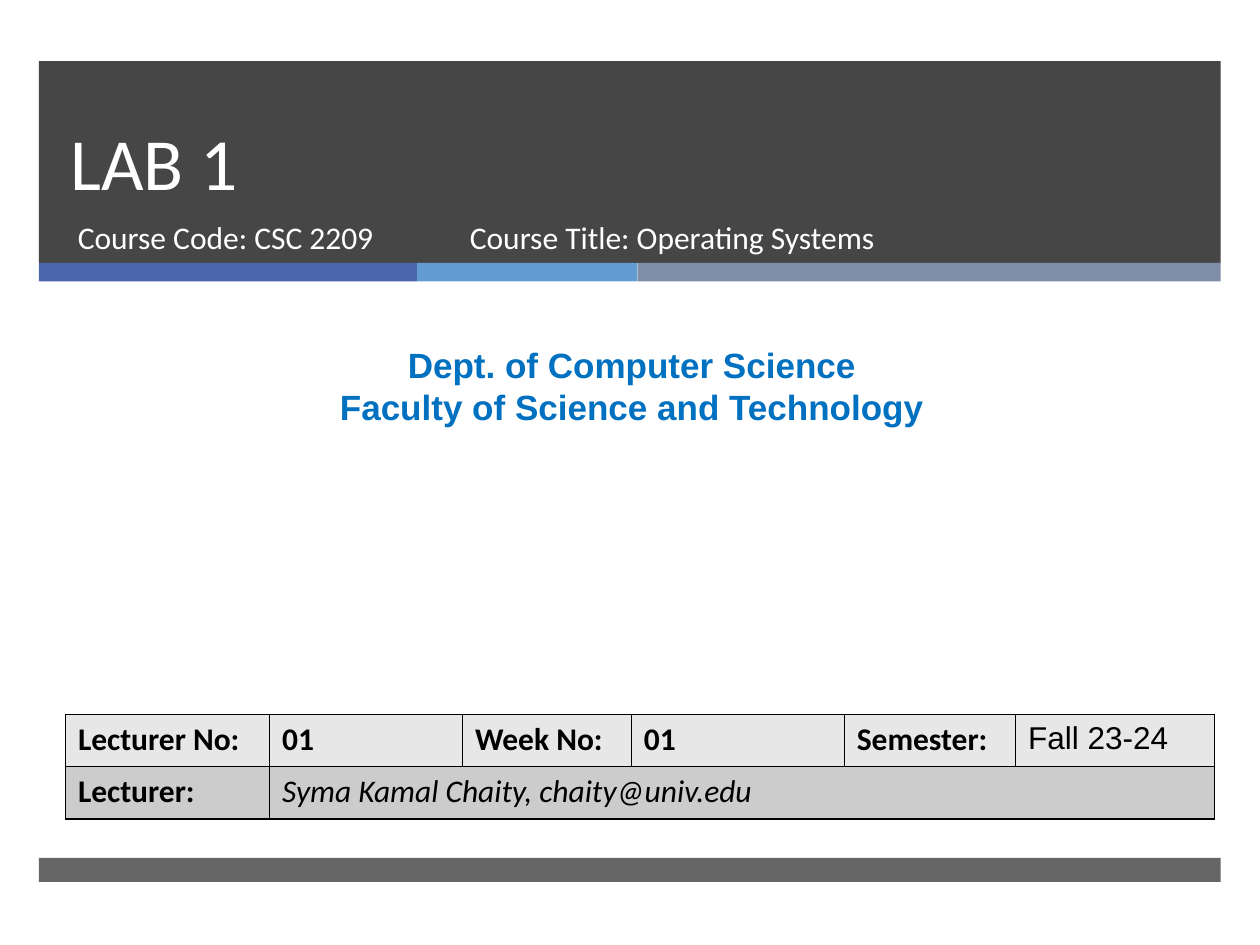
from lxml.etree import SubElement
from pptx import Presentation
from pptx.dml.color import RGBColor
from pptx.enum.shapes import MSO_SHAPE
from pptx.enum.text import MSO_ANCHOR, PP_ALIGN
from pptx.oxml.ns import qn
from pptx.util import Pt

DARK = RGBColor(0x26, 0x26, 0x26)
NAVY = RGBColor(0x4A, 0x66, 0xAC)
SKY = RGBColor(0x62, 0x9D, 0xD1)
SLATE = RGBColor(0x7F, 0x8F, 0xA9)
BLUE = RGBColor(0x00, 0x70, 0xC0)
WHITE = RGBColor(0xFF, 0xFF, 0xFF)
BLACK = RGBColor(0x00, 0x00, 0x00)
PALE = RGBColor(0xE7, 0xE7, 0xE7)
GREY = RGBColor(0xCC, 0xCC, 0xCC)


def write(frame, lines, form, align=PP_ALIGN.LEFT, space=None):
    frame.word_wrap = True
    for i, line in enumerate(lines):
        para = frame.add_paragraph() if i else frame.paragraphs[0]
        para.alignment = align
        para.line_spacing = space
        run = para.add_run()
        run.text = line
        color = form["color"]
        run.font.color.rgb = color
        for key, value in form.items():
            if key != "color":
                setattr(run.font, key, value)


deck = Presentation()
deck.slide_width, deck.slide_height = Pt(720), Pt(540)
slide = deck.slides.add_slide(deck.slide_layouts[6])
shapes = slide.shapes

left, right = 22.3, 697.5
bars = [
    (left, 35, right, 115.2, DARK, 85),
    (left, 150.2, 238.3, 10.6, NAVY, 100),
    (238.3, 150.2, 364.3, 10.6, SKY, 100),
    (364.3, 150.2, right, 10.6, SLATE, 100),
    (left, 490.2, right, 13.8, DARK, 70),
]
for start, top, end, high, color, alpha in bars:
    bar = shapes.add_shape(MSO_SHAPE.RECTANGLE, Pt(start), Pt(top), Pt(end - start), Pt(high))
    bar.shadow.inherit = False
    bar.line.fill.background()
    bar.fill.solid()
    bar.fill.fore_color.rgb = color
    if alpha < 100:
        tint = bar.fill._xPr.find(qn("a:solidFill"))[0]
        SubElement(tint, qn("a:alpha"), val=str(alpha * 1000))

head = {"name": "Calibri", "size": Pt(42), "color": WHITE}
course = {**head, "size": Pt(18)}
dept = {"name": "Arial", "size": Pt(20), "bold": True, "color": BLUE}
texts = [
    ((33.1, 35.3, 615, 85.7), ["LAB 1"], head, PP_ALIGN.LEFT, Pt(46), MSO_ANCHOR.BOTTOM),
    ((37.4, 121, 219.6, 38), ["Course Code: CSC 2209"], course, PP_ALIGN.LEFT, None, MSO_ANCHOR.TOP),
    ((261.4, 121.2, 327.6, 38), ["Course Title: Operating Systems"], course, PP_ALIGN.LEFT, None, MSO_ANCHOR.TOP),
    ((5.8, 193, 710.6, 55), ["Dept. of Computer Science", "Faculty of Science and Technology"],
     dept, PP_ALIGN.CENTER, None, MSO_ANCHOR.TOP),
]
for area, lines, form, align, space, anchor in texts:
    frame = shapes.add_textbox(*map(Pt, area)).text_frame
    frame.vertical_anchor = anchor
    write(frame, lines, form, align, space)

label = {"name": "Calibri", "size": Pt(18), "bold": True, "color": BLACK}
term = {**label, "name": "Arial", "bold": False}
person = {**label, "bold": False, "italic": True}
rows = [
    (PALE, [("Lecturer No:", label), ("01", label), ("Week No:", label),
            ("01", label), ("Semester:", label), ("Fall 23-24", term)]),
    (GREY, [("Lecturer:", label), ("Syma Kamal Chaity, chaity@univ.edu", person)]),
]
wide = [116.7, 110.2, 96.5, 121.7, 97.9, 113.8]
table = shapes.add_table(2, 6, Pt(37.4), Pt(408.2), Pt(sum(wide)), Pt(59.8)).table
for col, width in zip(table.columns, wide):
    col.width = Pt(width)
for r, (color, items) in enumerate(rows):
    table.rows[r].height = Pt(29.9)
    for c in range(6):
        cell = table.cell(r, c)
        props = cell._tc.get_or_add_tcPr()
        for side in "LRTB":
            edge = SubElement(props, qn("a:ln" + side), w=str(Pt(0.96)))
            paint = SubElement(edge, qn("a:solidFill"))
            SubElement(paint, qn("a:srgbClr"), val=str(BLACK))
        cell.fill.solid()
        cell.fill.fore_color.rgb = color
    for c, (text, form) in enumerate(items):
        write(table.cell(r, c).text_frame, [text], form)
table.cell(1, 1).merge(table.cell(1, 5))

deck.save("out.pptx")
